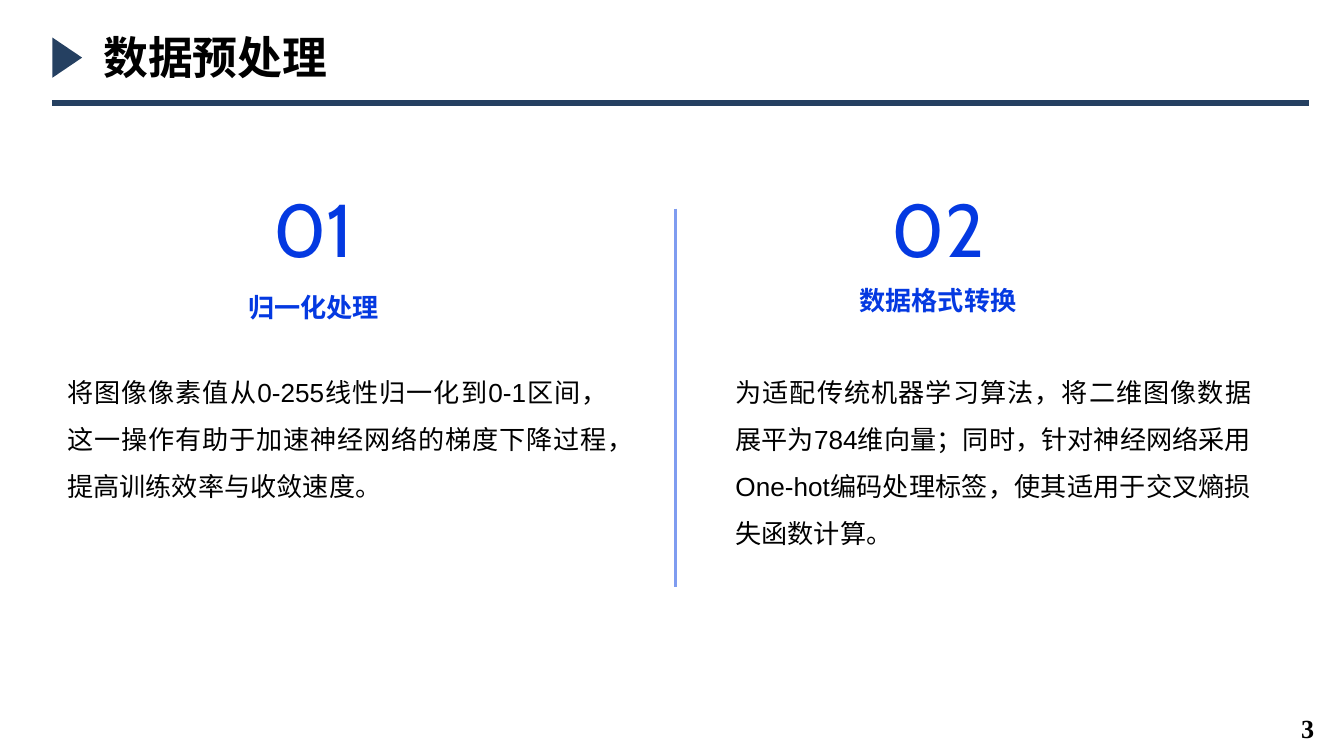
from pptx import Presentation
from pptx.dml.color import RGBColor
from pptx.enum.lang import MSO_LANGUAGE_ID
from pptx.enum.shapes import MSO_CONNECTOR, MSO_SHAPE
from pptx.enum.text import MSO_ANCHOR, PP_ALIGN
from pptx.oxml.ns import qn
from pptx.util import Pt
from lxml.etree import SubElement

# Content
TITLE = "数据预处理"
PAGE = "3"
# number, heading, heading top, body, column centre, body left, body width
COLS = [
    ("01", "归一化处理", 156.2,
     "将图像像素值从0-255线性归一化到0-1区间，这一操作有助于加速神经网络的"
     "梯度下降过程，提高训练效率与收敛速度。", 168, 36, 289.5),
    ("02", "数据格式转换", 152.6,
     "为适配传统机器学习算法，将二维图像数据展平为784维向量；同时，针对神经网络"
     "采用One-hot编码处理标签，使其适用于交叉熵损失函数计算。", 502.5, 394, 276.5),
]

# Formats
HEX = {"ink": "000000", "navy": "254061", "blue": "0439E1", "rule": "7F9CF0"}
FONTS = {
    "title": {"name": "Arial", "size": Pt(24), "bold": True},
    "page": {"name": "Times New Roman", "size": Pt(14), "bold": True},
    "num": {"name": "Cabin", "size": Pt(40), "bold": False},
    "head": {"name": "Cabin", "size": Pt(14), "bold": True},
    "body": {"name": "Arial", "size": Pt(14), "bold": False},
}
PARAS = {
    "title": {"alignment": PP_ALIGN.LEFT},
    "page": {"alignment": PP_ALIGN.RIGHT},
    "num": {"alignment": PP_ALIGN.CENTER},
    "head": {"alignment": PP_ALIGN.CENTER},
    "body": {"alignment": PP_ALIGN.JUSTIFY, "line_spacing": 1.5},
}
TINT = {"num": "blue", "head": "blue"}
FRAME = {"word_wrap": True, "margin_left": 0, "margin_right": 0,
         "margin_top": 0, "margin_bottom": 0}


def color(key):
    return RGBColor.from_string(HEX[key])


def apply(obj, vals):
    for key, val in vals.items():
        setattr(obj, key, val)


def write(text, kind, x, y, w, h, anchor=MSO_ANCHOR.TOP):
    frame = slide.shapes.add_textbox(Pt(x), Pt(y), Pt(w), Pt(h)).text_frame
    apply(frame, FRAME)
    frame.vertical_anchor = anchor
    para = frame.paragraphs[0]
    apply(para, PARAS[kind])
    run = para.add_run()
    run.text = text
    apply(run.font, FONTS[kind])
    run.font.language_id = MSO_LANGUAGE_ID.SIMPLIFIED_CHINESE
    run.font.color.rgb = color(TINT.get(kind, "ink"))


def rule(x1, y1, x2, y2, key, width):
    line = slide.shapes.add_connector(
        MSO_CONNECTOR.STRAIGHT, Pt(x1), Pt(y1), Pt(x2), Pt(y2))
    line.line.color.rgb = color(key)
    line.line.width = Pt(width)
    SubElement(line._element.spPr, qn("a:effectLst"))


deck = Presentation()
apply(deck, {"slide_width": Pt(720), "slide_height": Pt(405)})
slide = deck.slides.add_slide(deck.slide_layouts[6])

# Title bar
rule(28, 55.2, 701.5, 55.2, "navy", 3)
mark = slide.shapes.add_shape(
    MSO_SHAPE.ISOSCELES_TRIANGLE, Pt(25.2), Pt(22.9), Pt(21.6), Pt(16))
mark.rotation = 90
mark.shadow.inherit = False
mark.fill.solid()
mark.fill.fore_color.rgb = color("navy")
mark.line.fill.background()
write(TITLE, "title", 55.4, 10, 496, 40.5, MSO_ANCHOR.MIDDLE)

# Two columns
for num, head, top, body, mid, left, width in COLS:
    write(num, "num", mid - 34.5, 98, 69, 54.5)
    write(head, "head", mid - 100, top, 200, 24)
    write(body, "body", left, 193, width, 167)

# Divider and page number
rule(361.7, 111.8, 361.7, 314.7, "rule", 1.5)
write(PAGE, "page", 673, 381.6, 31, 17)

deck.save("out.pptx")
